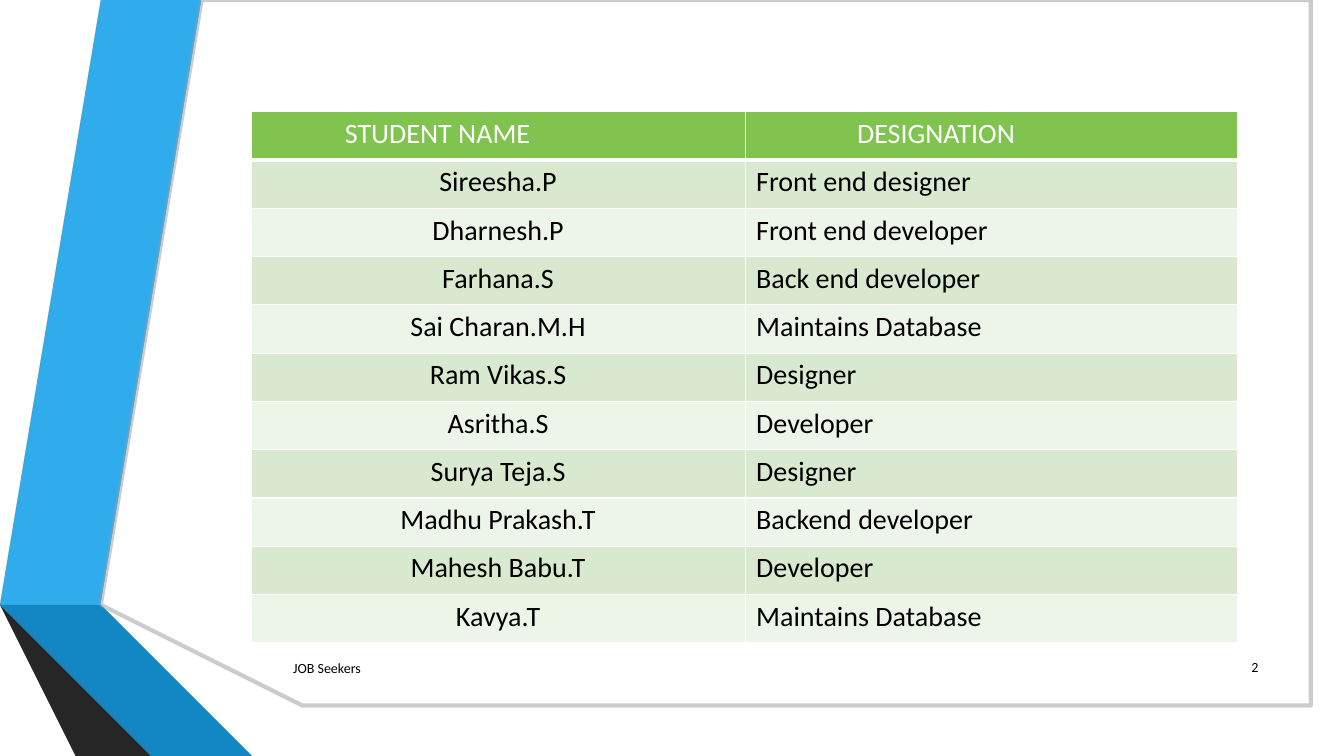
from lxml.etree import SubElement
from pptx import Presentation
from pptx.dml.color import RGBColor
from pptx.enum.text import MSO_ANCHOR, PP_ALIGN
from pptx.oxml.ns import qn
from pptx.util import Inches, Pt

RIBBONS = [
    ("30ACEC", [(0.5, 5.78), (0.77, 5.83), (1.73, 0), (1.45, 0)]),
    ("595959", [(1.39, 0), (1.11, 0), (0.16, 5.73), (0.44, 5.77)]),
    ("262626", [(0.16, 5.73), (1.45, 7.5), (1.51, 7.5)]),
    ("0C5A82", [(0.5, 5.79), (2.08, 7.5), (2.14, 7.5)]),
    ("1287C3", [(0.5, 5.78), (2.14, 7.5), (2.83, 7.5), (0.77, 5.83)]),
    ("404040", [(2.02, 7.5), (0.48, 5.83), (0.43, 5.77), (0.16, 5.73), (1.51, 7.5)]),
]
FRAME = [(1.76, 0.35), (12.98, 0.35), (12.98, 7.15), (2.51, 7.15), (0.87, 5.81)]

HEADINGS = [("STUDENT NAME", 0.82), ("DESIGNATION", 1.0)]
STUDENTS = [
    ("Sireesha.P", "Front end designer"),
    ("Dharnesh.P", "Front end developer"),
    ("Farhana.S", "Back end developer"),
    ("Sai Charan.M.H", "Maintains Database"),
    ("Ram Vikas.S", "Designer"),
    ("Asritha.S", "Developer"),
    ("Surya Teja.S", "Designer"),
    ("Madhu Prakash.T", "Backend developer"),
    ("Mahesh Babu.T", "Developer"),
    ("Kavya.T", "Maintains Database"),
]


def color(value):
    return RGBColor.from_string(value)


class SlideBuilder:
    font = "Calibri"
    black, white = "000000", "FFFFFF"
    header_fill = "80C34F"
    band_fills = ("D8E9D0", "EDF5E9")

    def __init__(self, page):
        self.page = page

    def polygon(self, shapes, points, fill):
        builder = shapes.build_freeform(*points[0], scale=Inches(1))
        builder.add_line_segments(points[1:], close=True)
        shape = builder.convert_to_shape()
        shape.shadow.inherit = False
        shape.fill.solid()
        shape.fill.fore_color.rgb = color(fill)
        shape.line.fill.background()
        return shape

    def ribbons(self):
        group = self.page.shapes.add_group_shape()
        for fill, points in RIBBONS:
            self.polygon(group.shapes, points, fill)

    def frame(self):
        shape = self.polygon(self.page.shapes, FRAME, self.white)
        shape.line.width = Pt(3)
        shape.line.color.rgb = color("979D9F")
        tint = shape.element.spPr.find(f"{qn('a:ln')}/{qn('a:solidFill')}")[0]
        SubElement(tint, qn("a:alpha"), val="50000")

    def add_text(self, para, text, size, tint, align):
        para.alignment = align
        span = para.add_run()
        span.text = text
        span.font.name = self.font
        span.font.size = Pt(size)
        span.font.color.rgb = color(tint)

    def label(self, text, left, top, width, align):
        box = self.page.shapes.add_textbox(
            Inches(left), Inches(top), Inches(width), Inches(0.4))
        box.text_frame.word_wrap = True
        box.text_frame.vertical_anchor = MSO_ANCHOR.MIDDLE
        self.add_text(box.text_frame.paragraphs[0], text, 10, self.black, align)

    def borders(self, cell, top, bottom):
        properties = cell._tc.get_or_add_tcPr()
        for side, width in (("L", 1), ("R", 1), ("T", top), ("B", bottom)):
            line = SubElement(properties, qn(f"a:ln{side}"), w=str(Pt(width)))
            fill = SubElement(line, qn("a:solidFill"))
            SubElement(fill, qn("a:srgbClr"), val=self.white)

    def cell(self, cell, text, fill, tint, align, top=1, bottom=1):
        self.borders(cell, top, bottom)
        cell.fill.solid()
        cell.fill.fore_color.rgb = color(fill)
        cell.margin_left = cell.margin_right = Inches(0.11)
        cell.margin_top = cell.margin_bottom = Inches(0.05)
        self.add_text(cell.text_frame.paragraphs[0], text, 20, tint, align)

    def student_table(self):
        row_count = len(STUDENTS) + 1
        table = self.page.shapes.add_table(
            row_count, 2, Inches(2.49), Inches(1.11),
            Inches(9.78), Inches(5.27)).table
        for column, width in zip(table.columns, (4.9, 4.88)):
            column.width = Inches(width)
        for row in table.rows:
            row.height = Inches(5.27 / row_count)

        for column, (heading, indent) in enumerate(HEADINGS):
            cell = table.cell(0, column)
            self.cell(cell, heading, self.header_fill, self.white,
                      PP_ALIGN.LEFT, bottom=3)
            properties = cell.text_frame.paragraphs[0]._p.get_or_add_pPr()
            properties.set("marL", str(Inches(indent)))

        for row, student in enumerate(STUDENTS, 1):
            fill = self.band_fills[(row - 1) % 2]
            top = 3 if row == 1 else 1
            for column, align in enumerate((PP_ALIGN.CENTER, PP_ALIGN.LEFT)):
                self.cell(table.cell(row, column), student[column], fill,
                          self.black, align, top=top)


def main():
    deck = Presentation()
    deck.slide_width, deck.slide_height = Inches(13.33), Inches(7.5)
    slide = SlideBuilder(deck.slides.add_slide(deck.slide_layouts[6]))
    slide.ribbons()
    slide.frame()
    slide.student_table()
    slide.label("JOB Seekers", 2.81, 6.43, 7.75, PP_ALIGN.LEFT)
    slide.label("2", 11.98, 6.42, 0.6, PP_ALIGN.RIGHT)
    deck.save("out.pptx")


if __name__ == "__main__":
    main()
